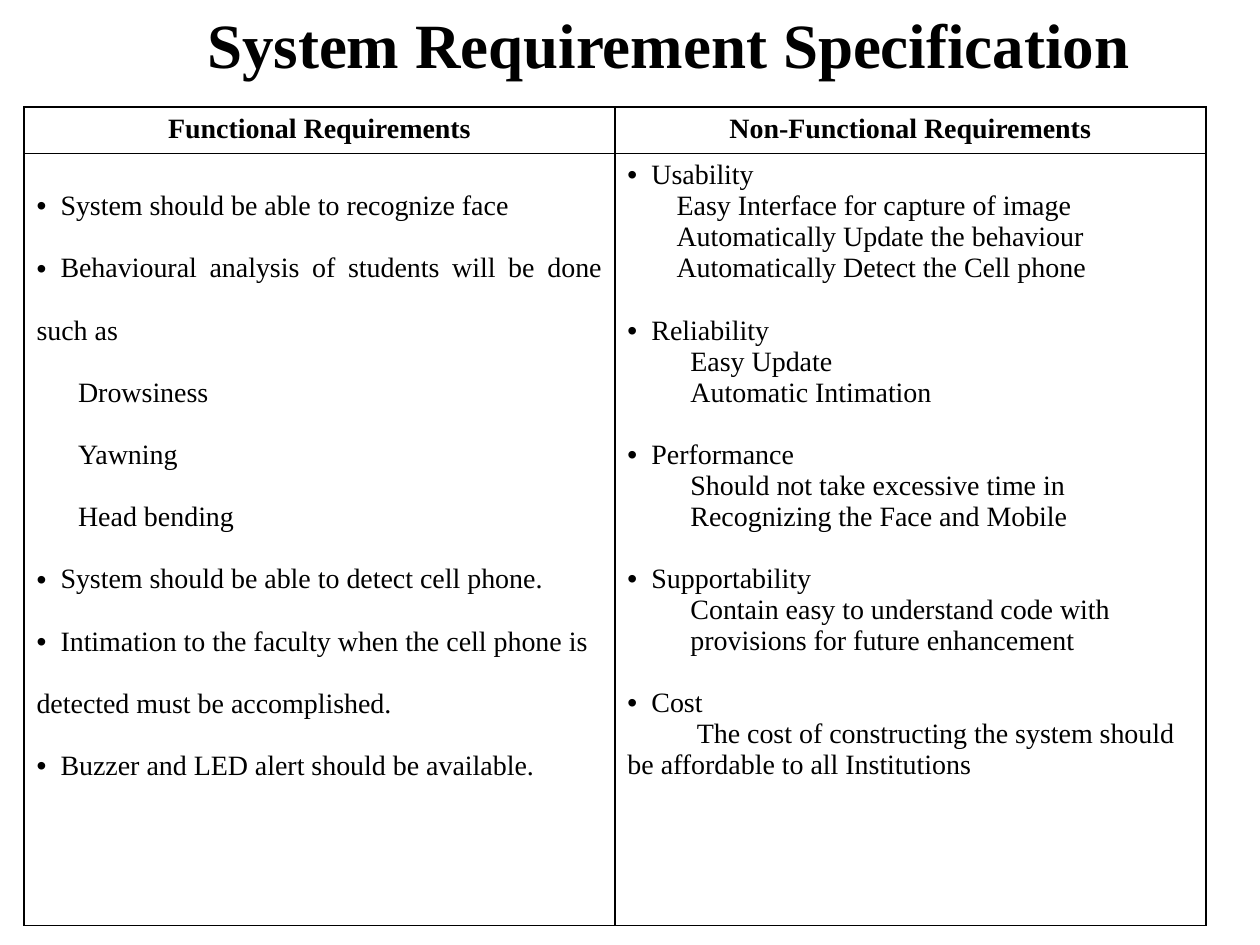
from lxml.etree import SubElement, Element
from pptx import Presentation
from pptx.dml.color import RGBColor
from pptx.enum.text import MSO_ANCHOR, PP_ALIGN
from pptx.oxml.ns import qn
from pptx.util import Inches, Pt

COLORS = {"ink": "000000"}
FONT = "Times New Roman"
BODY_SIZE = 16
BULLET_TAB = 0.19
GROUP_GAP = 17.7

FUNCTIONAL = [
    ("bullet", "System should be able to recognize face"),
    ("bullet", "Behavioural analysis of students will be done such as"),
    ("item", "Drowsiness"),
    ("item", "Yawning"),
    ("item", "Head bending"),
    ("bullet", "System should be able to detect cell phone."),
    ("ragged", "Intimation to the faculty when the cell phone is detected must be accomplished."),
    ("bullet", "Buzzer and LED alert should be available."),
]

# Heading, left margin, first-line indent, details
NON_FUNCTIONAL = [
    ("Usability", 0.39, 0, ["Easy Interface for capture of image",
                            "Automatically Update the behaviour",
                            "Automatically Detect the Cell phone"]),
    ("Reliability", 0.5, 0, ["Easy Update", "Automatic Intimation"]),
    ("Performance", 0.5, 0,
     ["Should not take excessive time in Recognizing the Face and Mobile"]),
    ("Supportability", 0.5, 0,
     ["Contain easy to understand code with provisions for future enhancement"]),
    ("Cost", 0, 0.55,
     ["The cost of constructing the system should be affordable to all Institutions"]),
]


def add_run(p, text, size=BODY_SIZE, bold=False):
    r = p.add_run()
    r.text = text
    r.font.name = FONT
    r.font.size = Pt(size)
    r.font.bold = bold
    r.font.color.rgb = RGBColor.from_string(COLORS["ink"])


def next_paragraph(tf):
    """Return the first paragraph while it is empty, otherwise a new one."""
    first = tf.paragraphs[0]
    return tf.add_paragraph() if first.runs else first


def set_indent(p, margin, first_line=0):
    pPr = p._p.get_or_add_pPr()
    pPr.set("marL", str(Inches(margin)))
    pPr.set("indent", str(Inches(first_line)))


def add_bullet(tf, text):
    """Add a bulleted paragraph whose wrapped lines return to the cell margin."""
    p = next_paragraph(tf)
    set_indent(p, 0)
    pPr = p._p.get_or_add_pPr()
    SubElement(pPr, qn("a:buFont"), typeface="Arial")
    SubElement(pPr, qn("a:buChar"), char="•")
    tabs = SubElement(pPr, qn("a:tabLst"))
    SubElement(tabs, qn("a:tab"), pos=str(Inches(BULLET_TAB)), algn="l")
    add_run(p, "\t" + text)
    return p


def add_detail(tf, text, margin, first_line=0):
    p = next_paragraph(tf)
    set_indent(p, margin, first_line)
    add_run(p, text)
    return p


def style_cell(cell):
    """Give the cell no fill and a thin line on every side."""
    cell.fill.background()
    tcPr = cell._tc.get_or_add_tcPr()
    for i, side in enumerate(("lnL", "lnR", "lnT", "lnB")):
        ln = Element(qn(f"a:{side}"), w=str(Pt(1)))
        fill = SubElement(ln, qn("a:solidFill"))
        SubElement(fill, qn("a:srgbClr"), val=COLORS["ink"])
        tcPr.insert(i, ln)


def add_title(s, text):
    sp = s.shapes.add_textbox(Inches(0.92), Inches(0.02), Inches(8.77), Inches(0.65))
    tf = sp.text_frame
    tf.word_wrap = True
    tf.vertical_anchor = MSO_ANCHOR.MIDDLE
    p = tf.paragraphs[0]
    p.alignment = PP_ALIGN.CENTER
    add_run(p, text, 36, True)


def add_requirements_table(s):
    table = s.shapes.add_table(2, 2, Inches(0.19), Inches(0.85),
                               Inches(9.39), Inches(6.49)).table
    table.first_row = table.horz_banding = False
    for column in table.columns:
        column.width = Inches(4.69)
    for row, height in zip(table.rows, (0.36, 6.13)):
        row.height = Inches(height)
    for cell in table.iter_cells():
        style_cell(cell)
    for col, heading in enumerate(("Functional Requirements",
                                   "Non-Functional Requirements")):
        p = table.cell(0, col).text_frame.paragraphs[0]
        p.alignment = PP_ALIGN.CENTER
        add_run(p, heading, bold=True)
    return table


def fill_functional(tf):
    for kind, text in FUNCTIONAL:
        p = add_detail(tf, text, 0.33) if kind == "item" else add_bullet(tf, text)
        p.alignment = PP_ALIGN.LEFT if kind == "ragged" else PP_ALIGN.JUSTIFY
        p.line_spacing = 2.0


def fill_non_functional(tf):
    for i, (heading, margin, first_line, details) in enumerate(NON_FUNCTIONAL):
        p = add_bullet(tf, heading)
        if i:
            p.space_before = Pt(GROUP_GAP)
        for text in details:
            p = add_detail(tf, text, margin, first_line)
            p.level = 1 if margin == 0.5 else 0


def main():
    prs = Presentation()
    prs.slide_width, prs.slide_height = Inches(10), Inches(7.5)
    s = prs.slides.add_slide(prs.slide_layouts[6])
    add_title(s, "System Requirement Specification")
    table = add_requirements_table(s)
    fill_functional(table.cell(1, 0).text_frame)
    fill_non_functional(table.cell(1, 1).text_frame)
    prs.save("out.pptx")


if __name__ == "__main__":
    main()
